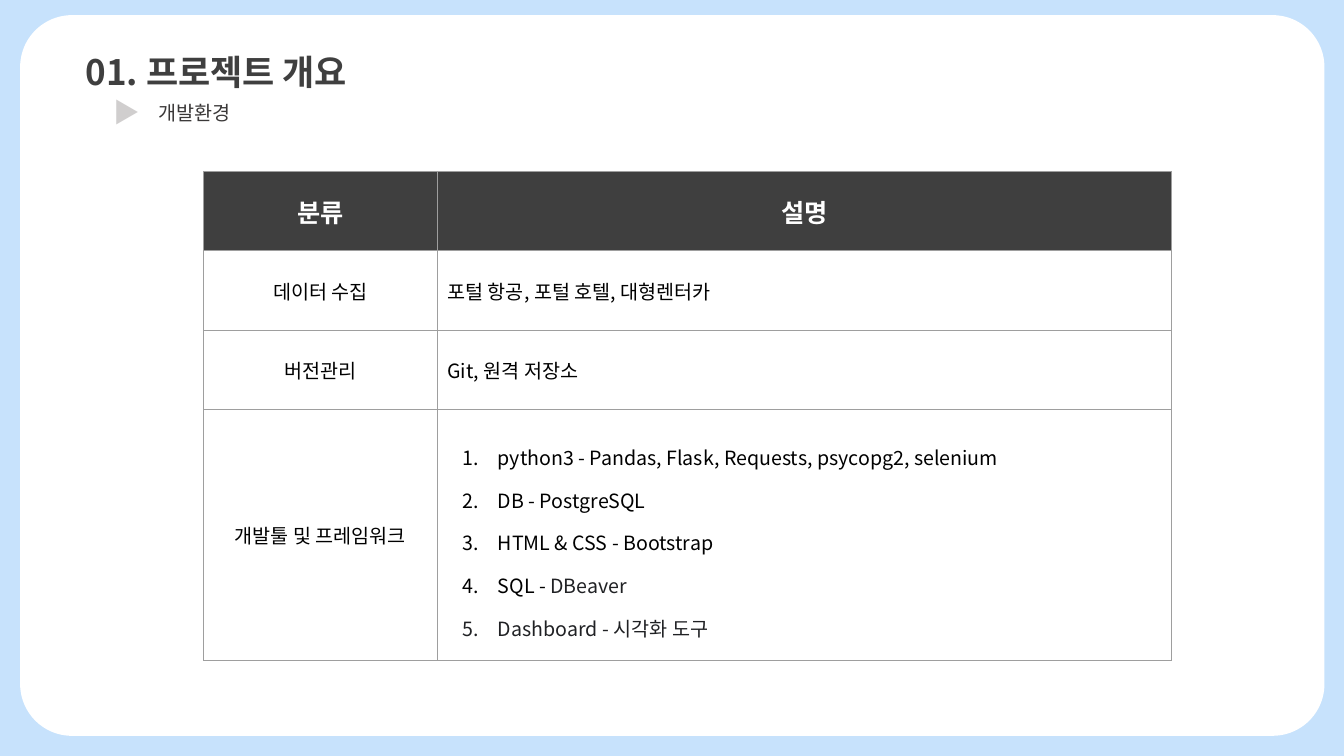
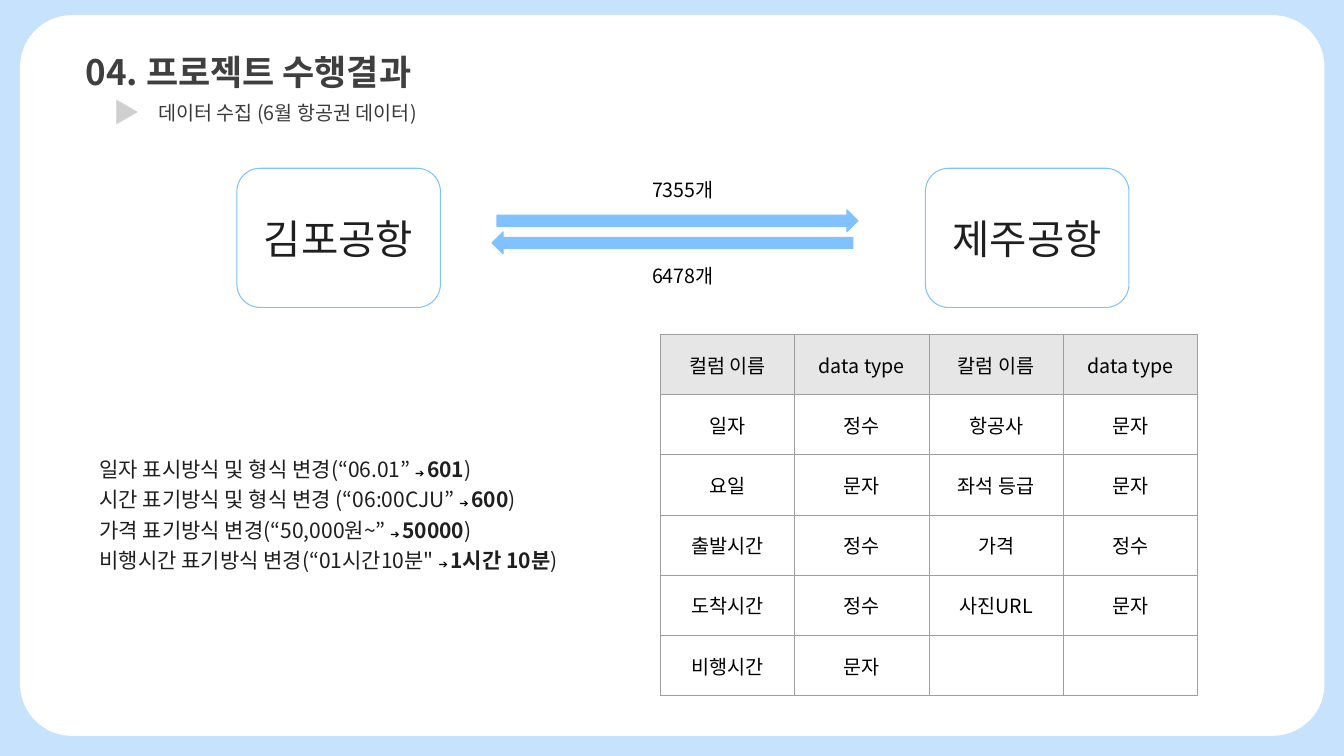
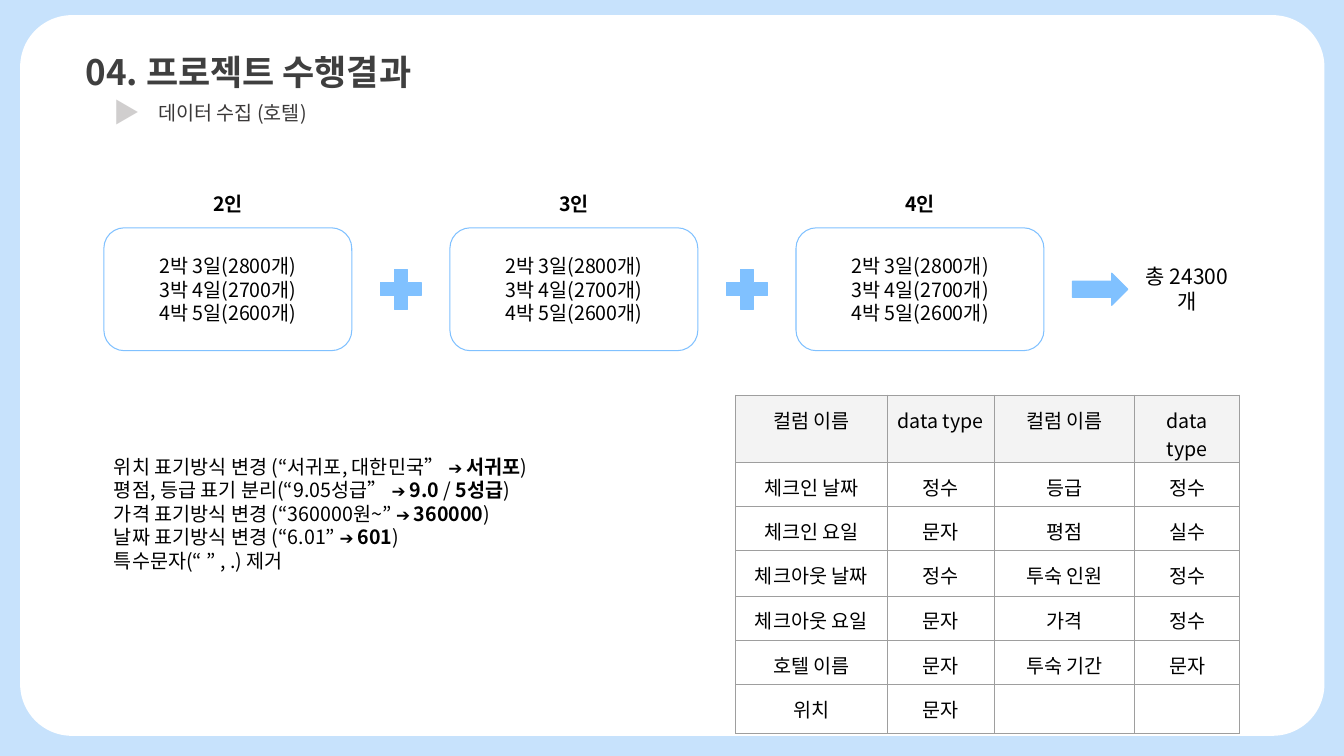
import dataclasses
import typing

import lxml.etree
import pptx
import pptx.dml.color
import pptx.enum.shapes
import pptx.enum.text
import pptx.oxml
import pptx.oxml.ns
import pptx.util

Pt = pptx.util.Pt
Shapes = pptx.enum.shapes.MSO_SHAPE
Align = pptx.enum.text.PP_ALIGN
Anchor = pptx.enum.text.MSO_ANCHOR

FONT = "Noto Sans CJK KR"
SKY, BLUE, WHITE, BLACK = "C7E2FC", "80C1FF", "FFFFFF", "000000"
INK, DARK, SUBTITLE, MARKER, RULE = "1F1F1F", "3F3F3F", "3A3838", "D0CECE", "9E9E9E"
DARKER = "202124"
INSET = 7.2


class Box(typing.NamedTuple):
    left: float
    top: float
    width: float
    height: float


@dataclasses.dataclass(frozen=True)
class Style:
    size: float = 14
    color: str = BLACK
    bold: bool = False


class Run(typing.NamedTuple):
    text: str
    style: Style


@dataclasses.dataclass(frozen=True)
class Block:
    """How the paragraphs of one text frame are set."""
    align: Align = Align.LEFT
    anchor: Anchor = Anchor.TOP
    insets: tuple[float, float, float, float] = (INSET,) * 4
    gap: float = 0
    leading: float | None = 1.2


@dataclasses.dataclass(frozen=True)
class Grid:
    left: float
    top: float
    widths: list[float]
    heights: list[float]
    head_fill: str
    head: Style = Style()
    body: Style = Style()
    insets: tuple[float, float, float, float] = (INSET,) * 4
    anchor: Anchor = Anchor.MIDDLE


Line = list[Run]
CENTERED = Block(Align.CENTER, Anchor.MIDDLE)


def rgb(value: str) -> pptx.dml.color.RGBColor:
    return pptx.dml.color.RGBColor.from_string(value)


def child(parent, tag: str, **attrs: str):
    el = lxml.etree.SubElement(parent, pptx.oxml.ns.qn(tag))
    for key, value in attrs.items():
        el.set(key, value)
    return el


def place(sp, box: Box) -> None:
    for name, value in box._asdict().items():
        setattr(sp, name, Pt(value))


def add_run(p, run: Run) -> None:
    r = p.add_run()
    r.text = run.text
    style = run.style
    for name, value in {"size": Pt(style.size), "bold": style.bold, "name": FONT}.items():
        setattr(r.font, name, value)
    r.font.color.rgb = rgb(style.color)
    child(r.font._element, "a:ea", typeface=FONT)


def write(tf, lines: list[Line], block: Block) -> None:
    sides = ("margin_left", "margin_top", "margin_right", "margin_bottom")
    formats = dict(zip(sides, map(Pt, block.insets)))
    formats |= {"word_wrap": True, "vertical_anchor": block.anchor,
                "auto_size": pptx.enum.text.MSO_AUTO_SIZE.NONE}
    for name, value in formats.items():
        setattr(tf, name, value)
    for i, line in enumerate(lines):
        p = tf.paragraphs[0] if i == 0 else tf.add_paragraph()
        p.alignment = block.align
        p.space_before = Pt(block.gap if i else 0)
        p.line_spacing = Pt(block.leading * max(run.style.size for run in line))
        for run in line:
            add_run(p, run)


def add_text(slide, box: Box, lines: list[Line], block: Block = Block()):
    sp = slide.shapes.add_textbox(*map(Pt, box))
    write(sp.text_frame, lines, block)
    return sp


def add_shape(slide, kind: Shapes, box: Box, fill: str, line: str | None = BLUE,
              lines: list[Line] | None = None):
    sp = slide.shapes.add_shape(kind, *map(Pt, box))
    sp.shadow.inherit = False
    sp.fill.solid()
    sp.fill.fore_color.rgb = rgb(fill)
    if line:
        sp.line.color.rgb = rgb(line)
        sp.line.width = Pt(0.75)
    else:
        sp.line.fill.background()
    if lines:
        write(sp.text_frame, lines, CENTERED)
    return sp


def add_notes_list(slide, box: Box, lines: list[Line], gap: float) -> None:
    """Fill the body placeholder with unbulleted lines."""
    sp = slide.placeholders[1]
    place(sp, box)
    write(sp.text_frame, lines, Block(gap=gap))
    for p in sp.text_frame.paragraphs:
        pPr = p._p.get_or_add_pPr()
        pPr.set("marL", "0")
        pPr.set("indent", "0")
        child(pPr, "a:buNone")


def style_cell(cell, grid: Grid, fill: str | None) -> None:
    sides = ("margin_left", "margin_top", "margin_right", "margin_bottom")
    for name, value in zip(sides, grid.insets):
        setattr(cell, name, Pt(value))
    cell.vertical_anchor = grid.anchor
    tcPr = cell._tc.get_or_add_tcPr()
    for side in "LRTB":
        ln = child(tcPr, f"a:ln{side}", w=str(Pt(0.75)))
        child(child(ln, "a:solidFill"), "a:srgbClr", val=RULE)
    if fill:
        cell.fill.solid()
        cell.fill.fore_color.rgb = rgb(fill)
    else:
        cell.fill.background()


def add_table(slide, grid: Grid, rows: list[list[str]]):
    frame = slide.shapes.add_table(
        len(grid.heights), len(grid.widths), Pt(grid.left), Pt(grid.top),
        Pt(sum(grid.widths)), Pt(sum(grid.heights)))
    tbl = frame.table
    tbl.first_row = tbl.horz_banding = False
    for col, width in zip(tbl.columns, grid.widths):
        col.width = Pt(width)
    for r, height in enumerate(grid.heights):
        tbl.rows[r].height = Pt(height)
        for c in range(len(grid.widths)):
            cell = tbl.cell(r, c)
            style_cell(cell, grid, None if r else grid.head_fill)
            if r < len(rows) and rows[r][c]:
                p = cell.text_frame.paragraphs[0]
                p.alignment = Align.CENTER
                add_run(p, Run(rows[r][c], grid.body if r else grid.head))
    return tbl


def number_lines(cell, lines: list[Line]) -> None:
    for i, line in enumerate(lines):
        p = cell.text_frame.paragraphs[0] if i == 0 else cell.text_frame.add_paragraph()
        p.line_spacing = 1.5
        pPr = p._p.get_or_add_pPr()
        pPr.set("marL", str(Pt(36)))
        pPr.set("indent", str(Pt(-25.2)))
        child(child(pPr, "a:buClr"), "a:srgbClr", val=line[0].style.color)
        child(pPr, "a:buFont", typeface=FONT)
        child(pPr, "a:buAutoNum", type="arabicPeriod")
        for run in line:
            add_run(p, run)


def build_master(prs, slide) -> None:
    """Put the background, white panel and subtitle marker on the master."""
    master = prs.slide_master
    master.background.fill.solid()
    master.background.fill.fore_color.rgb = rgb(SKY)
    panel = add_shape(slide, Shapes.ROUNDED_RECTANGLE, Box(14.4, 10.8, 931.7, 514.8), WHITE, None)
    panel.adjustments[0] = 0.072
    marker = add_text(slide, Box(74.2, 65, 39.6, 30.2), [[Run("▶", Style(19, MARKER, True))]],
                      Block(insets=(INSET, 3.6, INSET, 3.6)))
    for i, sp in enumerate((panel, marker)):
        sp.element.nvSpPr.cNvPr.set("id", str(100 + i))
        master.shapes.element.insert(2 + i, sp.element)


def add_slide(prs, layout: int, title: str, subtitle: str):
    slide = prs.slides.add_slide(prs.slide_layouts[layout])
    place(slide.shapes.title, Box(54, 35.8, 370, 30.2))
    write(slide.shapes.title.text_frame, [[Run(title, Style(25, DARK, True))]],
          Block(insets=(INSET, 0, INSET, 0)))
    add_text(slide, Box(105.8, 65, 301.7, 31.7), [[Run(subtitle, Style(14, SUBTITLE))]])
    return slide


def change(before: str, after: str, style: Style, arrow: float, end: str = ")") -> Line:
    """One line telling an old notation, an arrow and the new notation in bold."""
    return [Run(before + " ", style), Run("➔ ", Style(arrow)),
            Run(after, dataclasses.replace(style, bold=True)), Run(end, style)]


def build_environment(prs):
    slide = add_slide(prs, 5, "01. 프로젝트 개요", "개발환경")
    grid = Grid(145.4, 122.4, [167, 524.2], [56.8, 56.8, 56.8, 54.7, 54.7, 69.8],
                DARK, Style(18, WHITE, True))
    tbl = add_table(slide, grid, [
        ["분류", "설명"],
        ["데이터 수집", "포털 항공, 포털 호텔, 대형렌터카"],
        ["버전관리", "Git, 원격 저장소"],
        ["개발툴 및 프레임워크", ""]])
    for r in (1, 2):
        tbl.cell(r, 1).text_frame.paragraphs[0].alignment = Align.LEFT
    for c in (0, 1):
        tbl.cell(3, c).merge(tbl.cell(5, c))
    plain, dark = Style(), Style(color=DARKER)
    number_lines(tbl.cell(3, 1), [
        [Run("python3 - Pandas, Flask, Requests, psycopg2, selenium", plain)],
        [Run("DB - PostgreSQL", plain)],
        [Run("HTML & CSS - Bootstrap", plain)],
        [Run("SQL - ", plain), Run("DBeaver", dark)],
        [Run("Dashboard - 시각화 도구", dark)]])
    return slide


def build_flights(prs) -> None:
    slide = add_slide(prs, 1, "04. 프로젝트 수행결과", "데이터 수집 (6월 항공권 데이터)")
    for left, airport in ((169.2, "김포공항"), (661, "제주공항")):
        add_shape(slide, Shapes.FLOWCHART_ALTERNATE_PROCESS, Box(left, 120.2, 145.4, 99.4),
                  WHITE, lines=[[Run(airport, Style(29, INK))]])
    for kind, left, top, count, label_top in (
            (Shapes.RIGHT_ARROW, 355, 149.8, "7355개", 120.2),
            (Shapes.LEFT_ARROW, 351.4, 165.6, "6478개", 181.4)):
        add_shape(slide, kind, Box(left, top, 257.8, 15.8), BLUE)
        add_text(slide, Box(418.3, label_top, 139, 31.7), [[Run(count, Style())]],
                 Block(Align.CENTER))
    add_table(slide, Grid(471.6, 239, [96] * 4, [43] * 6, "E6E6E6"), [
        ["컬럼 이름", "data type", "칼럼 이름", "data type"],
        ["일자", "정수", "항공사", "문자"],
        ["요일", "문자", "좌석 등급", "문자"],
        ["출발시간", "정수", "가격", "정수"],
        ["도착시간", "정수", "사진URL", "문자"],
        ["비행시간", "문자", "", ""]])
    changes = [("일자 표시방식 및 형식 변경(“06.01”", "601"),
               ("시간 표기방식 및 형식 변경 (“06:00CJU”", "600"),
               ("가격 표기방식 변경(“50,000원~”", "50000"),
               ("비행시간 표기방식 변경(“01시간10분\"", "1시간 10분")]
    add_notes_list(slide, Box(64, 319, 355.7, 98),
                   [change(*pair, Style(15, INK), 8) for pair in changes], gap=3.6)


def build_hotels(prs) -> None:
    slide = add_slide(prs, 1, "04. 프로젝트 수행결과", "데이터 수집 (호텔)")
    plain, bold = Style(), Style(bold=True)
    stays = ["2박 3일(2800개)", "3박 4일(2700개)", "4박 5일(2600개)"]
    first, pitch, width = 74.2, 247.2, 177.1
    for i, guests in enumerate(("2인", "3인", "4인")):
        left = first + i * pitch
        add_shape(slide, Shapes.ROUNDED_RECTANGLE, Box(left, 162.7, width, 87.8), WHITE,
                  lines=[[Run(stay, plain)] for stay in stays])
        add_text(slide, Box(left + (width - 39.6) / 2, 129.6, 39.6, 31.7),
                 [[Run(guests, bold)]], Block(Align.CENTER, insets=(0, INSET, 0, INSET)))
        if i < 2:
            add_shape(slide, Shapes.MATH_PLUS, Box(left + 192.2, 187.2, 39.6, 38.9), BLUE)
    add_shape(slide, Shapes.RIGHT_ARROW, Box(766, 195.1, 39.6, 23), BLUE)
    add_text(slide, Box(810, 180.7, 75.6, 51.1), [[Run("총 24300개", Style(15))]],
             Block(Align.CENTER))
    grid = Grid(525.6, 282.2, [108, 76.5, 100.5, 75],
                [48, 31.5, 31.5, 32.5, 31.5, 31.5, 35.5], "F3F3F3",
                insets=(INSET, INSET, INSET, 0), anchor=Anchor.TOP)
    add_table(slide, grid, [
        ["컬럼 이름", "data type", "컬럼 이름", "data type"],
        ["체크인 날짜", "정수", "등급", "정수"],
        ["체크인 요일", "문자", "평점", "실수"],
        ["체크아웃 날짜", "정수", "투숙 인원", "정수"],
        ["체크아웃 요일", "문자", "가격", "정수"],
        ["호텔 이름", "문자", "투숙 기간", "문자"],
        ["위치", "문자", "", ""]])
    rating = change("평점, 등급 표기 분리(“9.05성급”", "9.0 ", plain, 12, "/ ")
    add_notes_list(slide, Box(74.2, 317.5, 403.2, 99.4), [
        change("위치 표기방식 변경 (“서귀포, 대한민국”", "서귀포", plain, 12),
        rating + [Run("5성급", bold), Run(")", plain)],
        change("가격 표기방식 변경 (“360000원~”", "360000", plain, 12),
        change("날짜 표기방식 변경 (“6.01”", "601", plain, 12),
        [Run("특수문자(“ ” , .) 제거", plain)]], gap=0)


def main() -> None:
    prs = pptx.Presentation()
    prs.slide_width, prs.slide_height = Pt(960), Pt(540)
    build_master(prs, build_environment(prs))
    build_flights(prs)
    build_hotels(prs)
    prs.save("out.pptx")


if __name__ == "__main__":
    main()
